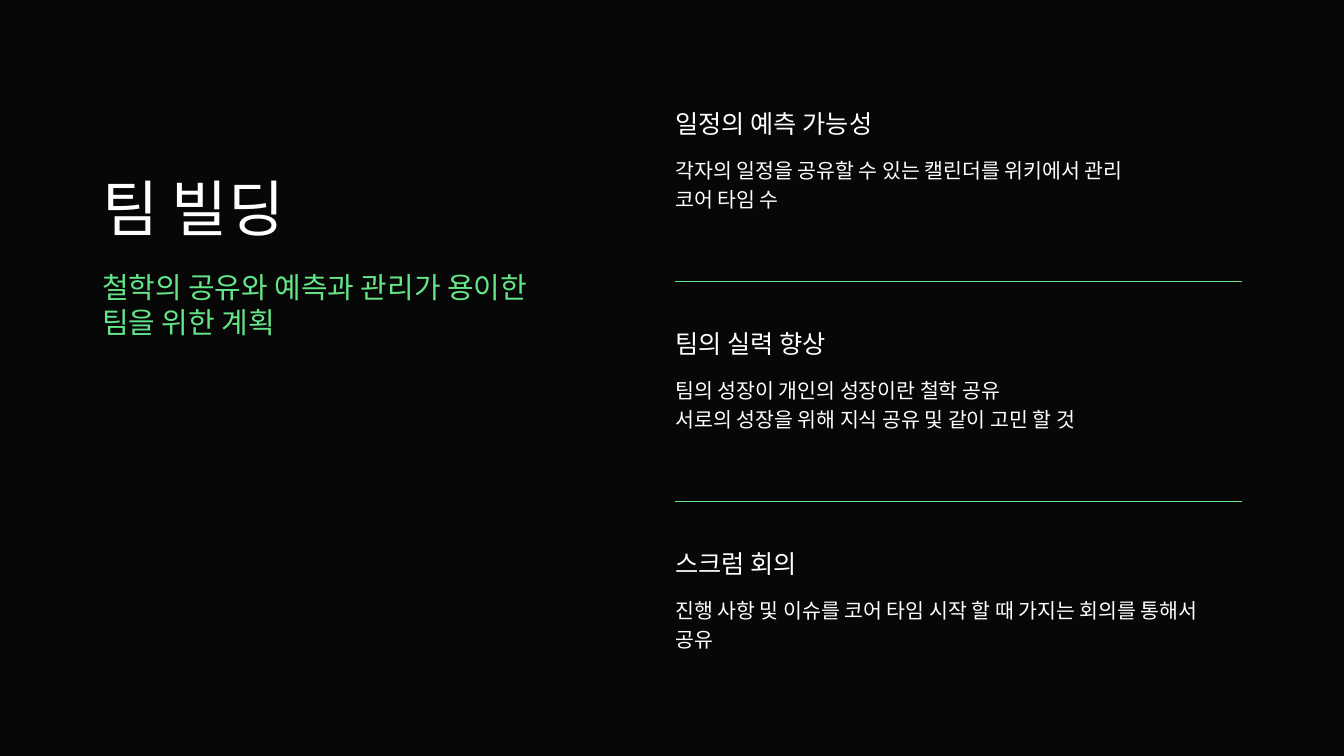
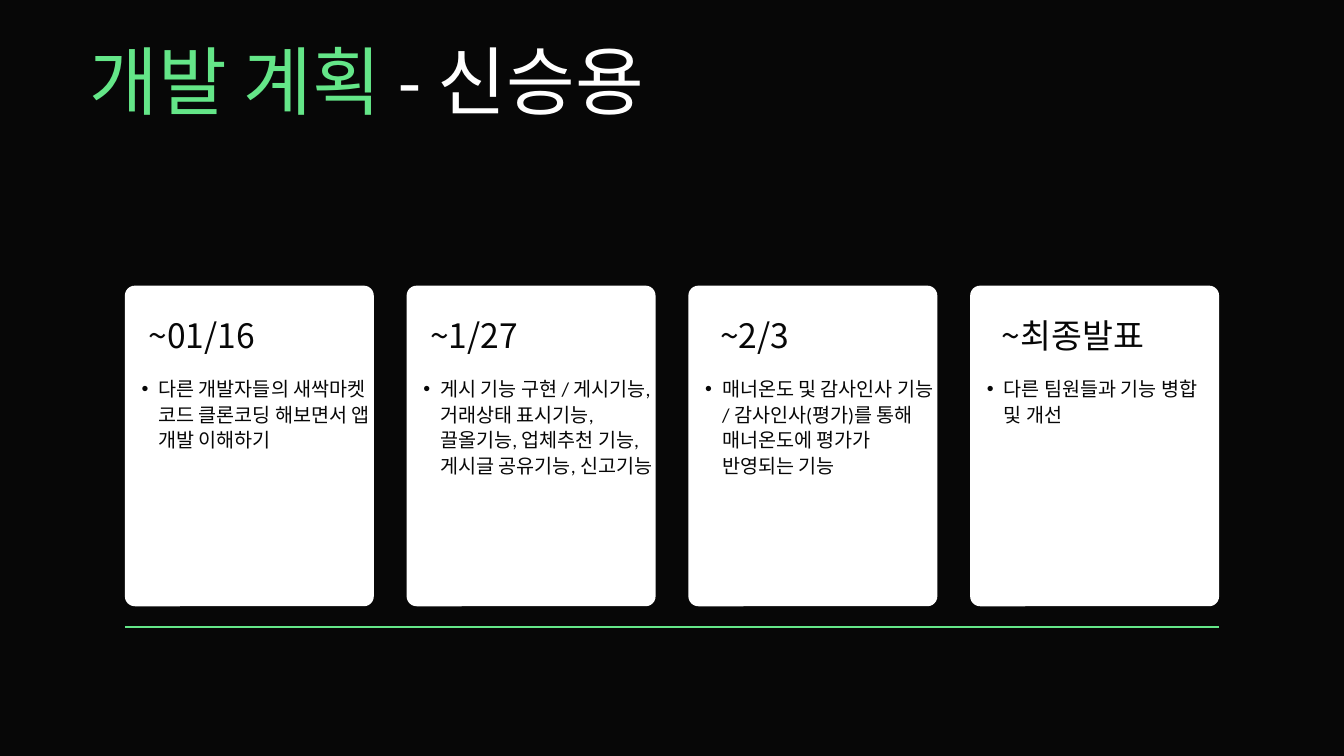
"""Build two dark slides: the team building principles and a development plan."""
from dataclasses import dataclass

from lxml import etree
from pptx import Presentation
from pptx.dml.color import RGBColor
from pptx.enum.shapes import MSO_CONNECTOR, MSO_SHAPE
from pptx.enum.text import MSO_ANCHOR, MSO_AUTO_SIZE, PP_ALIGN
from pptx.oxml.ns import qn
from pptx.presentation import Presentation as Deck
from pptx.shapes.base import BaseShape
from pptx.slide import Slide
from pptx.util import Cm, Pt

STRAIGHT = MSO_CONNECTOR.STRAIGHT
ROUNDED = MSO_SHAPE.ROUNDED_RECTANGLE
TOP = MSO_ANCHOR.TOP
NO_AUTOFIT = MSO_AUTO_SIZE.NONE
LEFT, CENTER = PP_ALIGN.LEFT, PP_ALIGN.CENTER

COLORS = {"night": "070707", "green": "64E688", "white": "FFFFFF"}
LATIN, HANGUL = "Calibri", "Noto Sans CJK KR"
TITLE_SLIDE_LAYOUT, COMPARISON_LAYOUT = 0, 4

SECTION_LEFT, SECTION_WIDTH, SECTION_PITCH = 25.53, 21.43, 8.32
CARD_LEFT, CARD_TOP, CARD_WIDTH, CARD_HEIGHT = 4.72, 10.8, 9.41, 12.12
CARDS_WIDTH = 41.36


@dataclass(frozen=True)
class TextStyle:
    """Look of the paragraphs in one box, with sizes in points."""

    size: float
    spacing: float
    color: str
    font: str = LATIN
    align: PP_ALIGN = LEFT
    bullet: bool = False


@dataclass(frozen=True)
class Section:
    """A principle with its explanation lines."""

    heading: str
    lines: list[str]


@dataclass(frozen=True)
class Card:
    """A milestone card; the inset of its date is in centimetres."""

    date: str
    task: str
    inset: float = 0.89


TEAM_TITLE = TextStyle(65.4, 78.4, "white")
TEAM_SUBTITLE = TextStyle(31, 37.2, "green")
SECTION_HEADING = TextStyle(27, 37.8, "white")
SECTION_BODY = TextStyle(22, 30.8, "white")
PLAN_TITLE = TextStyle(80, 96, "white", align=CENTER)
CARD_DATE = TextStyle(36, 56.5, "night", font=HANGUL)
CARD_TASK = TextStyle(21, 27.3, "night", bullet=True)

SECTIONS = [
    Section("일정의 예측 가능성",
            ["각자의 일정을 공유할 수 있는 캘린더를 위키에서 관리", "코어 타임 수"]),
    Section("팀의 실력 향상",
            ["팀의 성장이 개인의 성장이란 철학 공유",
             "서로의 성장을 위해 지식 공유 및 같이 고민 할 것"]),
    Section("스크럼 회의",
            ["진행 사항 및 이슈를 코어 타임 시작 할 때 가지는 회의를 통해서", "공유"]),
]
CARDS = [
    Card("~01/16", "다른 개발자들의 새싹마켓 코드 클론코딩 해보면서 앱 개발 이해하기"),
    Card("~1/27", "게시 기능 구현 / 게시기능, 거래상태 표시기능, 끌올기능, "
                  "업체추천 기능, 게시글 공유기능, 신고기능"),
    Card("~2/3", "매너온도 및 감사인사 기능 / 감사인사(평가)를 통해 "
                 "매너온도에 평가가 반영되는 기능", inset=1.2),
    Card("~최종발표", "다른 팀원들과 기능 병합 및 개선", inset=1.2),
]


def rgb(name: str) -> RGBColor:
    """Look up a named colour."""
    return RGBColor.from_string(COLORS[name])


def place(box: BaseShape, left: float, top: float, width: float, height: float) -> None:
    """Move and size a box, in centimetres."""
    box.left, box.top, box.width, box.height = map(Cm, (left, top, width, height))


def write(box: BaseShape, lines: list[str], style: TextStyle) -> None:
    """Fill a box with one styled paragraph per line."""
    frame = box.text_frame
    frame.margin_left = frame.margin_top = frame.margin_right = frame.margin_bottom = 0
    frame.word_wrap = True
    frame.auto_size = NO_AUTOFIT
    frame.vertical_anchor = TOP
    frame.text = "\n".join(lines)
    for para in frame.paragraphs:
        para.alignment = style.align
        para.line_spacing = Pt(style.spacing)
        para.space_before = Pt(0)
        properties = para._p.get_or_add_pPr()
        if style.bullet:
            properties.set("marL", str(Cm(1.27)))
            properties.set("indent", str(Cm(-0.64)))
            etree.SubElement(properties, qn("a:buFont"), typeface="Arial")
            etree.SubElement(properties, qn("a:buChar"), char="•")
        para.font.size = Pt(style.size)
        para.font.bold = False
        para.font.color.rgb = rgb(style.color)
        para.font.name = style.font
        etree.SubElement(properties.find(qn("a:defRPr")), qn("a:ea"), typeface=HANGUL)


def add_text(page: Slide, left: float, top: float, width: float, height: float,
             lines: list[str], style: TextStyle) -> None:
    """Add a styled text box."""
    box = page.shapes.add_textbox(0, 0, 0, 0)
    place(box, left, top, width, height)
    write(box, lines, style)


def add_rule(page: Slide, left: float, top: float, width: float, weight: float) -> None:
    """Draw a green horizontal rule."""
    rule = page.shapes.add_connector(STRAIGHT, Cm(left), Cm(top), Cm(left + width), Cm(top))
    rule.line.color.rgb = rgb("green")
    rule.line.width = Pt(weight)
    etree.SubElement(rule.element.spPr, qn("a:effectLst"))


def add_card(page: Slide, left: float, card: Card, task_box: BaseShape) -> None:
    """Draw a milestone card and lay its task list over it."""
    panel = page.shapes.add_shape(
        ROUNDED, Cm(left), Cm(CARD_TOP), Cm(CARD_WIDTH), Cm(CARD_HEIGHT))
    panel.adjustments[0] = 0.04
    panel.shadow.inherit = False
    panel.fill.solid()
    panel.fill.fore_color.rgb = rgb("white")
    panel.line.fill.background()
    page.shapes.element.append(task_box.element)
    place(task_box, left, 14.19, CARD_WIDTH, 3.81)
    write(task_box, [card.task], CARD_TASK)
    add_text(page, left + card.inset, 11.43, 6.2, 1.88, [card.date], CARD_DATE)


def build_team_slide(deck: Deck) -> None:
    """Build the slide with the team building principles."""
    page = deck.slides.add_slide(deck.slide_layouts[TITLE_SLIDE_LAYOUT])
    title, subtitle = page.placeholders
    place(title, 3.86, 6.45, 16.76, 3.02)
    write(title, ["팀 빌딩"], TEAM_TITLE)
    place(subtitle, 3.86, 10.19, 16.76, 2.62)
    write(subtitle, ["철학의 공유와 예측과 관리가 용이한 팀을 위한 계획"], TEAM_SUBTITLE)
    for index, section in enumerate(SECTIONS):
        shift = index * SECTION_PITCH
        add_text(page, SECTION_LEFT, 3.89 + shift, SECTION_WIDTH, 1.24,
                 [section.heading], SECTION_HEADING)
        add_text(page, SECTION_LEFT, 5.82 + shift, SECTION_WIDTH, 2.11,
                 section.lines, SECTION_BODY)
        if index:
            add_rule(page, SECTION_LEFT, 2.32 + shift, SECTION_WIDTH, 2)


def build_plan_slide(deck: Deck) -> None:
    """Build the slide with the development milestones."""
    page = deck.slides.add_slide(deck.slide_layouts[COMPARISON_LAYOUT])
    title, *task_boxes = page.placeholders
    place(title, -1.22, 1.3, 30.18, 3.91)
    write(title, ["개발 계획"], PLAN_TITLE)
    heading = title.text_frame.paragraphs[0]
    heading.runs[0].font.color.rgb = rgb("green")
    heading.add_run().text = " - 신승용"
    pitch = (CARDS_WIDTH - CARD_WIDTH) / (len(CARDS) - 1)
    for index, (card, task_box) in enumerate(zip(CARDS, task_boxes)):
        add_card(page, CARD_LEFT + index * pitch, card, task_box)
    add_rule(page, CARD_LEFT, 23.7, CARDS_WIDTH, 1.5)


def main() -> None:
    """Build and save the deck."""
    deck = Presentation()
    deck.slide_width, deck.slide_height = Cm(50.8), Cm(28.58)
    background = deck.slide_master.background.fill
    background.solid()
    background.fore_color.rgb = rgb("night")
    build_team_slide(deck)
    build_plan_slide(deck)
    deck.save("out.pptx")


if __name__ == "__main__":
    main()
